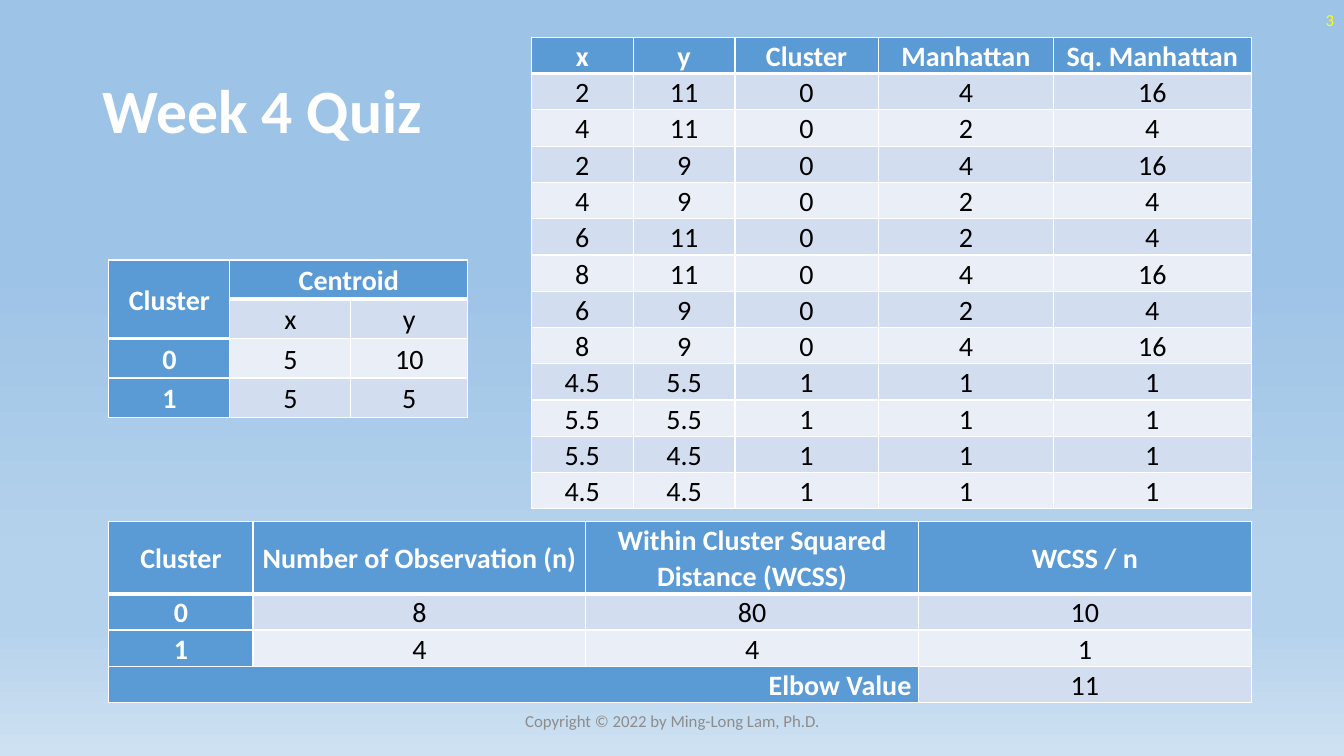
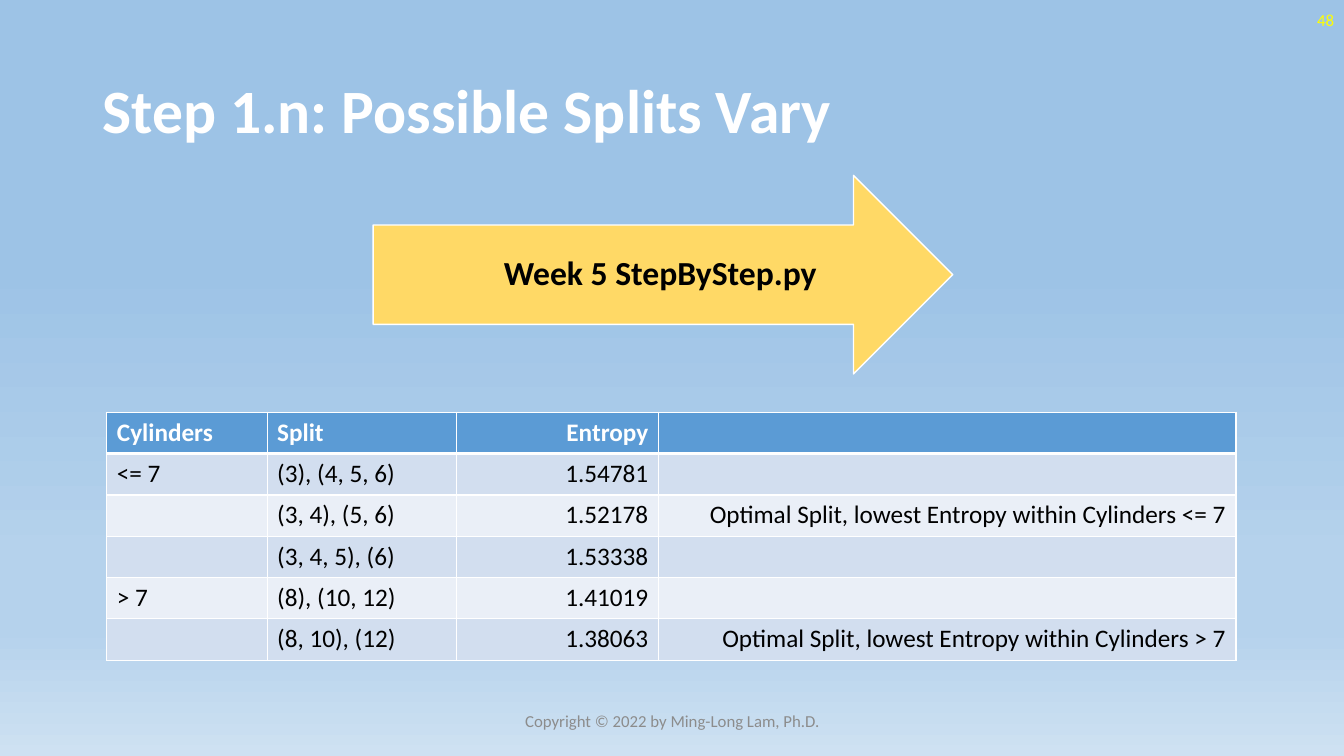
from pptx import Presentation
from pptx.dml.color import RGBColor
from pptx.enum.shapes import MSO_SHAPE as Shape
from pptx.enum.text import MSO_ANCHOR as Anchor, PP_ALIGN as Align
from pptx.oxml.ns import qn
from pptx.util import Emu, Pt
from lxml.etree import SubElement

PX = 9144  # 100 px to the inch
FONT = "Calibri"
COLORS = {
    "white": "FFFFFF",
    "black": "000000",
    "number": "FFFF00",
    "footer": "8C8C8C",
    "header": "5B9BD5",
    "band_dark": "D2DEEF",
    "band_light": "EAEFF7",
    "arrow": "FFD966",
}
BACKGROUND_STOPS = [(35, "9DC3E6"), (74, "B5D2EC"), (83, "B5D2EC"), (100, "CEE1F2")]
FOOTER = "Copyright © 2022 by Ming-Long Lam, Ph.D."
ALIGNMENTS = {"l": Align.LEFT, "c": Align.CENTER, "r": Align.RIGHT}


def px(length):
    return Emu(length * PX)


def rgb(name):
    return RGBColor.from_string(COLORS[name])


class Deck:
    def __init__(self, width, height):
        self.presentation = Presentation()
        self.presentation.slide_width = px(width)
        self.presentation.slide_height = px(height)
        self.slide = None
        self.set_background()

    def set_background(self):
        """Give the master a vertical gradient that all slides inherit."""
        master = self.presentation.slide_master
        fill = master.background.fill
        fill.gradient()
        fill.gradient_angle = 270
        stops = master.element.find(".//" + qn("a:gsLst"))
        for stop in list(stops):
            stops.remove(stop)
        for position, color in BACKGROUND_STOPS:
            stop = SubElement(stops, qn("a:gs"), pos=str(position * 1000))
            SubElement(stop, qn("a:srgbClr"), val=color)

    def add_slide(self, title, number):
        """Start a slide with its title, page number and footer."""
        layout = self.presentation.slide_layouts[6]
        self.slide = self.presentation.slides.add_slide(layout)
        self.text((92, 40, 1150, 145), title, 44, "white", bold=True, spacing=0.9)
        self.text((1033, 0, 300, 40), number, 12, "number", Align.RIGHT)
        self.text((442, 695, 450, 40), FOOTER, 12, "footer", Align.CENTER)

    def add_run(self, frame, text, size, color, align, bold=False, spacing=1.0):
        paragraph = frame.paragraphs[0]
        paragraph.alignment = align
        paragraph.line_spacing = spacing
        run = paragraph.add_run()
        run.text = text
        run.font.name = FONT
        run.font.size = Pt(size)
        run.font.bold = bold
        run.font.color.rgb = rgb(color)

    def text(self, box, text, size, color, align=Align.LEFT, bold=False, spacing=1.0):
        frame = self.slide.shapes.add_textbox(*map(px, box)).text_frame
        frame.word_wrap = True
        frame.vertical_anchor = Anchor.MIDDLE
        self.add_run(frame, text, size, color, align, bold, spacing)

    def arrow(self, box, text):
        shape = self.slide.shapes.add_shape(Shape.RIGHT_ARROW, *map(px, box))
        shape.shadow.inherit = False
        shape.fill.solid()
        shape.fill.fore_color.rgb = rgb("arrow")
        shape.line.color.rgb = rgb("white")
        shape.line.width = Pt(1)
        frame = shape.text_frame
        frame.word_wrap = True
        frame.vertical_anchor = Anchor.MIDDLE
        # The label sits towards the arrowhead
        frame.margin_left, frame.margin_right = px(46), px(2)
        self.add_run(frame, text, 24, "black", Align.CENTER, bold=True, spacing=0.9)

    def borders(self, cell, widths):
        properties = cell._tc.get_or_add_tcPr()
        for side, width in widths.items():
            line = SubElement(properties, qn("a:ln" + side), w=str(int(Pt(width))))
            fill = SubElement(line, qn("a:solidFill"))
            SubElement(fill, qn("a:srgbClr"), val=COLORS["white"])

    def table(self, left, top, widths, heights, rows, aligns, size,
              compact=False, header_column=False, merges=()):
        """Draw a banded table; merges are pairs of corner cells."""
        box = (left, top, sum(widths), sum(heights))
        table = self.slide.shapes.add_table(
            len(rows), len(widths), *map(px, box)).table
        for column, width in zip(table.columns, widths):
            column.width = px(width)
        for row, height in zip(table.rows, heights):
            row.height = px(height)
        for first, last in merges:
            table.cell(*first).merge(table.cell(*last))

        for r, row in enumerate(rows):
            for c, text in enumerate(row):
                cell = table.cell(r, c)
                is_header = r == 0 or (header_column and c == 0)
                # A heavy rule closes the header, also below a merged cell
                closes_header = r == 0 or (r == 1 and cell.is_spanned)
                sides = {"L": 1, "R": 1}
                if r == 0:
                    sides["T"] = 1
                sides["B"] = 3 if closes_header else 1
                self.borders(cell, sides)
                cell.fill.solid()
                band = "band_dark" if r % 2 else "band_light"
                cell.fill.fore_color.rgb = rgb("header" if is_header else band)
                if compact:
                    cell.vertical_anchor = Anchor.MIDDLE
                    cell.margin_left = cell.margin_right = px(7)
                    cell.margin_top = cell.margin_bottom = 0
                if text:
                    self.add_run(cell.text_frame, text, size,
                                 "white" if is_header else "black",
                                 ALIGNMENTS[aligns[c]], is_header,
                                 1.07 if compact else 1.0)
        return table


def quiz_slide(deck):
    deck.add_slide("Week 4 Quiz", "3")

    # Cluster centroids
    centroids = [
        ["Cluster", "Centroid", ""],
        ["", "x", "y"],
        ["0", "5", "10"],
        ["1", "5", "5"],
    ]
    deck.table(108, 258, [120, 120, 116], [39] * 4, centroids, "ccc", 20,
               compact=True, header_column=True,
               merges=[((0, 0), (1, 0)), ((0, 1), (0, 2))])

    # Distance of each observation to its centroid
    observations = [
        ("2", "11", "0", 4), ("4", "11", "0", 2), ("2", "9", "0", 4),
        ("4", "9", "0", 2), ("6", "11", "0", 2), ("8", "11", "0", 4),
        ("6", "9", "0", 2), ("8", "9", "0", 4), ("4.5", "5.5", "1", 1),
        ("5.5", "5.5", "1", 1), ("5.5", "4.5", "1", 1), ("4.5", "4.5", "1", 1),
    ]
    distances = [["x", "y", "Cluster", "Manhattan", "Sq. Manhattan"]]
    for x, y, cluster, distance in observations:
        distances.append([x, y, cluster, str(distance), str(distance ** 2)])
    deck.table(527, 37, [101, 101, 142, 174, 196], [36] * 13, distances,
               "ccccc", 20, compact=True)

    # Elbow value
    elbow = [
        ["Cluster", "Number of Observation (n)",
         "Within Cluster Squared Distance (WCSS)", "WCSS / n"],
        ["0", "8", "80", "10"],
        ["1", "4", "4", "1"],
        ["Elbow Value", "", "", "11"],
    ]
    table = deck.table(108, 517, [143, 330, 330, 330], [72, 36, 36, 36], elbow,
                       "cccc", 20, compact=True, header_column=True,
                       merges=[((3, 0), (3, 2))])
    table.cell(3, 0).text_frame.paragraphs[0].alignment = Align.RIGHT


def splits_slide(deck):
    deck.add_slide("Step 1.n: Possible Splits Vary", "48")

    # Entropy of each split
    note = "Optimal Split, lowest Entropy within Cylinders "
    splits = [
        ["Cylinders", "Split", "Entropy", ""],
        ["<= 7", "(3), (4, 5, 6)", "1.54781", ""],
        ["", "(3, 4), (5, 6)", "1.52178", note + "<= 7"],
        ["", "(3, 4, 5), (6)", "1.53338", ""],
        ["> 7", "(8), (10, 12)", "1.41019", ""],
        ["", "(8, 10), (12)", "1.38063", note + "> 7"],
    ]
    deck.table(106, 409, [159, 188, 200, 573], [41] * 6, splits, "llrr", 18)

    # Script to run
    deck.arrow((370, 174, 575, 197), "Week 5 StepByStep.py")


def main():
    deck = Deck(1333, 750)
    quiz_slide(deck)
    splits_slide(deck)
    deck.presentation.save("out.pptx")


if __name__ == "__main__":
    main()
